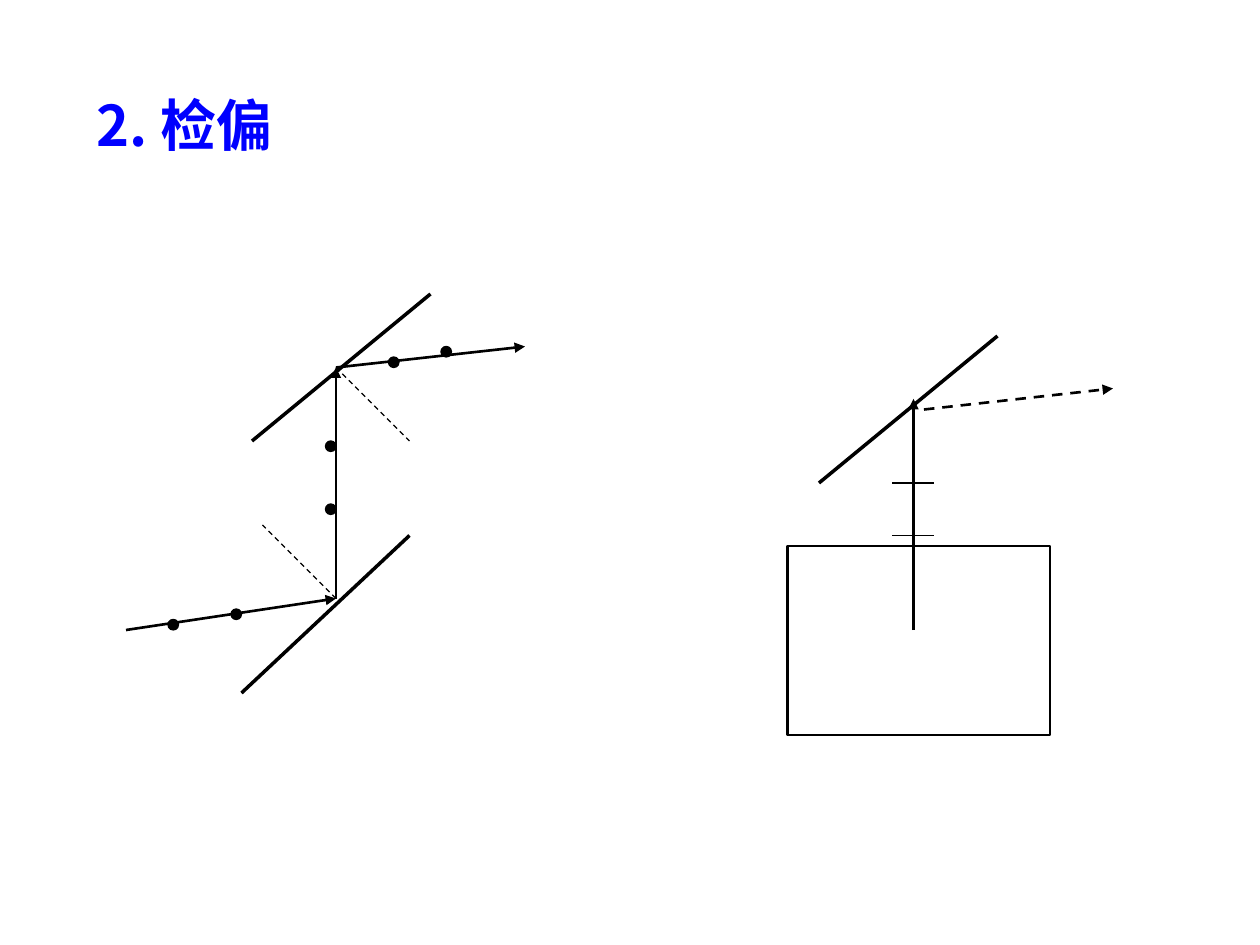
from lxml.etree import SubElement
from pptx import Presentation
from pptx.dml.color import RGBColor
from pptx.enum.dml import MSO_LINE
from pptx.enum.shapes import MSO_CONNECTOR, MSO_SHAPE
from pptx.enum.text import MSO_ANCHOR as ANCHOR, MSO_AUTO_SIZE as AUTO_SIZE, PP_ALIGN as ALIGN
from pptx.oxml.ns import qn
from pptx.util import Cm, Pt

COLOURS = {"ink": "000000", "title": "0000FF"}
FONT = "Noto Sans CJK SC"
GRID = 2.54 / 12


def colour(name):
    """Return a named colour of the slide."""
    return RGBColor.from_string(COLOURS[name])


def grid(box, x, y):
    """Turn grid steps inside a box into a position on the slide."""
    return Cm((box[0] + x) * GRID), Cm((box[1] + y) * GRID)


def add_line(slide, box, start, end, width=1.5, dashed=False, arrow=False):
    """Draw a straight line between two grid points of a box."""
    line = slide.shapes.add_connector(
        MSO_CONNECTOR.STRAIGHT, *grid(box, *start), *grid(box, *end))
    line.line.color.rgb = colour("ink")
    line.line.width = Pt(width)
    if dashed:
        line.line.dash_style = MSO_LINE.DASH
    if arrow:
        SubElement(line.line._get_or_add_ln(), qn("a:tailEnd"), type="triangle")
    SubElement(line._element.spPr, qn("a:effectLst"))


def add_shape(slide, box, kind, corner, size, line_width, filled):
    """Draw an outlined preset shape, filled or open, inside a box."""
    shape = slide.shapes.add_shape(
        kind, *grid(box, *corner), *grid((0, 0), *size))
    shape.shadow.inherit = False
    shape.line.color.rgb = colour("ink")
    shape.line.width = Pt(line_width)
    if filled:
        shape.fill.solid()
        shape.fill.fore_color.rgb = colour("ink")
    else:
        shape.fill.background()


def add_dotted_ray(slide, box, start, end, dots):
    """Draw a light ray with dots for its polarization."""
    add_line(slide, box, start, end, arrow=True)
    for dot in dots:
        add_shape(slide, box, MSO_SHAPE.OVAL, dot, (1, 1), 0.75, True)


def add_title(slide, left, top, width, height):
    """Place and format the slide title."""
    title = slide.shapes.title
    title.left, title.top, title.width, title.height = map(
        Cm, (left, top, width, height))
    frame = title.text_frame
    frame.text = "2. 检偏"
    frame.word_wrap = True
    frame.auto_size = AUTO_SIZE.SHAPE_TO_FIT_TEXT
    frame.vertical_anchor = ANCHOR.TOP
    paragraph = frame.paragraphs[0]
    paragraph.alignment = ALIGN.JUSTIFY
    font = paragraph.runs[0].font
    font.name, font.size, font.bold = FONT, Pt(32), True
    font.color.rgb = colour("title")
    SubElement(font._element, qn("a:ea"), typeface=FONT)


def add_two_mirrors(slide, box):
    """Draw a ray reflected by two parallel mirrors."""
    lower, upper = (20, 29), (20, 7)
    add_line(slide, box, (27, 23), (11, 38), 2)
    add_line(slide, box, (29, 0), (12, 14), 2)
    add_dotted_ray(slide, box, (0, 32), lower, [(4, 31), (10, 30)])
    add_dotted_ray(slide, box, lower, upper, [(19, 14), (19, 20)])
    add_dotted_ray(slide, box, upper, (38, 5), [(25, 6), (30, 5)])
    add_line(slide, box, lower, (13, 22), 0.75, dashed=True)
    add_line(slide, box, upper, (27, 14), 0.75, dashed=True)


def add_crossed_mirror(slide, box):
    """Draw a ray leaving a housing and meeting a turned mirror."""
    add_shape(slide, box, MSO_SHAPE.RECTANGLE, (0, 20), (25, 18), 1.5, False)
    add_line(slide, box, (12, 28), (12, 6), arrow=True)
    for y in (14, 19):
        add_line(slide, box, (10, y), (14, y), 0.75)
    add_line(slide, box, (20, 0), (3, 14), 2)
    add_line(slide, box, (13, 7), (31, 5), dashed=True, arrow=True)


def main():
    """Build and save the slide."""
    presentation = Presentation()
    presentation.slide_width, presentation.slide_height = Cm(25.4), Cm(19.05)
    slide = presentation.slides.add_slide(presentation.slide_layouts[5])
    add_title(slide, 1.7, 1.7, 8.46, 1.63)
    add_two_mirrors(slide, (12, 28))
    add_crossed_mirror(slide, (75, 32))
    presentation.save("out.pptx")


if __name__ == "__main__":
    main()
